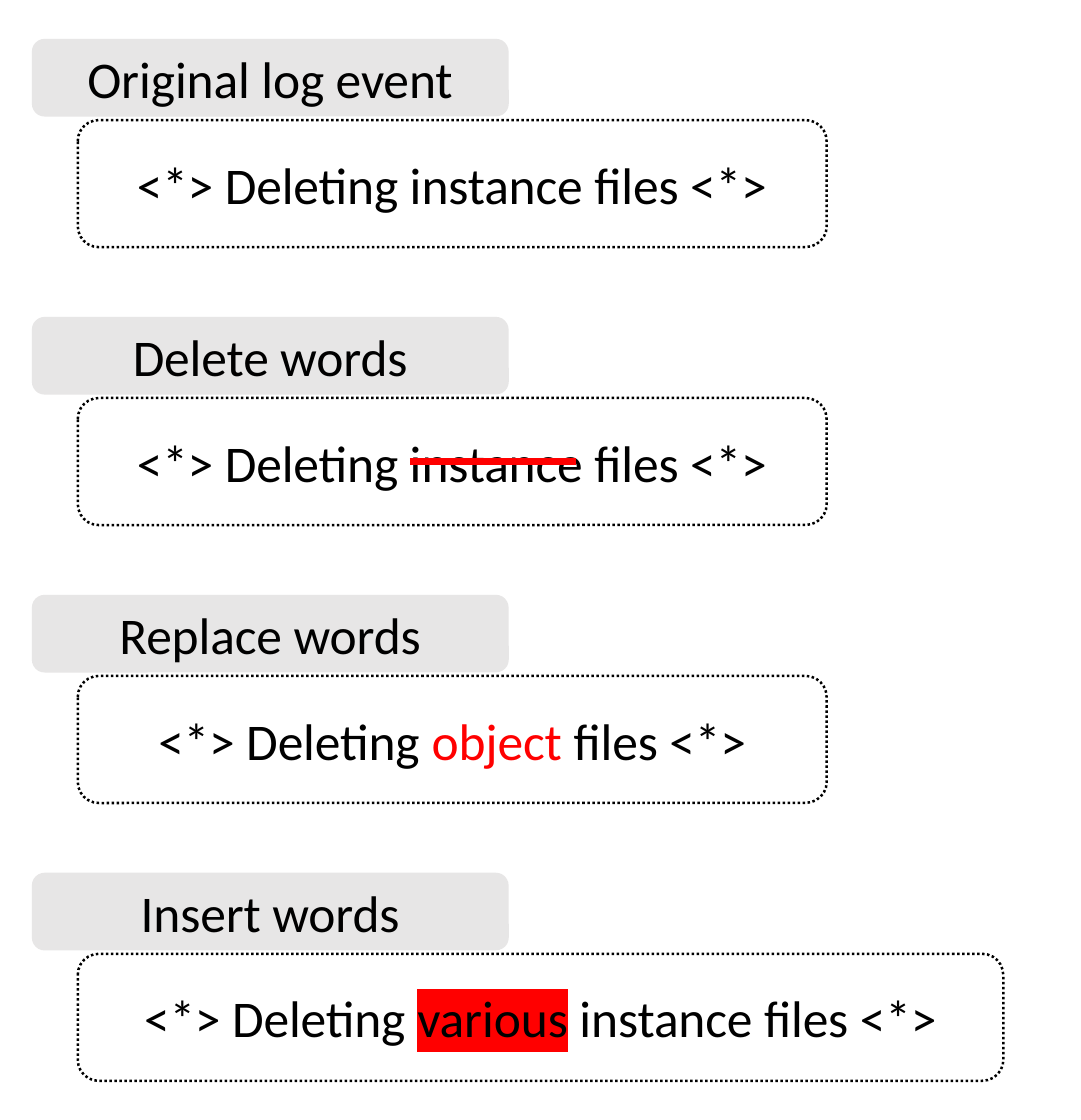
from lxml import etree
from pptx import Presentation
from pptx.dml.color import RGBColor
from pptx.enum.dml import MSO_LINE
from pptx.enum.shapes import MSO_CONNECTOR, MSO_SHAPE
from pptx.enum.text import MSO_ANCHOR, PP_ALIGN
from pptx.oxml.ns import qn
from pptx.util import Inches, Pt

ROUNDED = MSO_SHAPE.ROUNDED_RECTANGLE
STRAIGHT = MSO_CONNECTOR.STRAIGHT
DOTTED = MSO_LINE.ROUND_DOT
MIDDLE = MSO_ANCHOR.MIDDLE
CENTER = PP_ALIGN.CENTER

BLACK = RGBColor(0x00, 0x00, 0x00)
RED = RGBColor(0xFF, 0x00, 0x00)
GREY = RGBColor(0xE7, 0xE6, 0xE6)

# Layout in inches
LEFT, TOP, LAST_TOP = 0.09, 0.11, 2.47
TAB_W, TAB_H = 1.35, 0.22
INDENT, DROP, BOX_H = 0.13, 0.23, 0.36
NARROW, WIDE = 2.12, 2.62
STRIKE_START, STRIKE_END = 1.16, 1.63

# Heading, box width, runs of (text, style)
EVENTS = [
    ("Original log event", NARROW, [("<*> Deleting instance files <*>", "")]),
    ("Delete words", NARROW, [("<*> Deleting instance files <*>", "")]),
    ("Replace words", NARROW,
     [("<*> Deleting ", ""), ("object", "red"), (" files <*>", "")]),
    ("Insert words", WIDE,
     [("<*> Deleting ", ""), ("various", "highlight"),
      (" instance files <*>", "")]),
]


def highlight(r, color):
    mark = etree.Element(qn("a:highlight"))
    etree.SubElement(mark, qn("a:srgbClr"), val=str(color))
    r.font.fill._xPr.find(qn("a:solidFill")).addnext(mark)


def add_label(s, x, y, w, h, runs):
    """Add a rounded rectangle with centred text."""
    sp = s.shapes.add_shape(ROUNDED, Inches(x), Inches(y), Inches(w), Inches(h))
    sp.shadow.inherit = False
    tf = sp.text_frame
    tf.word_wrap = True
    tf.vertical_anchor = MIDDLE
    tf.margin_left = tf.margin_right = tf.margin_top = tf.margin_bottom = 0
    p = tf.paragraphs[0]
    p.alignment = CENTER
    for text, style in runs:
        r = p.add_run()
        r.text = text
        r.font.name = "Calibri"
        r.font.size = Pt(10.5)
        r.font.color.rgb = RED if style == "red" else BLACK
        if style == "highlight":
            highlight(r, RED)
    return sp


def add_event(s, x, y, heading, width, runs):
    """Add a dotted event box with its grey heading tab."""
    box = add_label(s, x + INDENT, y + DROP, width, BOX_H, runs)
    box.fill.background()
    box.line.color.rgb = BLACK
    box.line.width = Pt(0.5)
    box.line.dash_style = DOTTED

    tab = add_label(s, x, y, TAB_W, TAB_H, [(heading, "")])
    tab.fill.solid()
    tab.fill.fore_color.rgb = GREY
    tab.line.fill.background()


def add_strike(s, y):
    """Strike out the deleted word."""
    line = s.shapes.add_connector(
        STRAIGHT, Inches(STRIKE_START), Inches(y), Inches(STRIKE_END), Inches(y))
    line.line.color.rgb = RED
    line.line.width = Pt(1.5)
    etree.SubElement(line._element.spPr, qn("a:effectLst"))


def main():
    prs = Presentation()
    prs.slide_width, prs.slide_height = Inches(3.06), Inches(3.17)
    s = prs.slides.add_slide(prs.slide_layouts[6])

    # Four events at equal spacing
    pitch = (LAST_TOP - TOP) / (len(EVENTS) - 1)
    for i, event in enumerate(EVENTS):
        add_event(s, LEFT, TOP + i * pitch, *event)

    # Deleted word in the second event
    add_strike(s, TOP + pitch + DROP + BOX_H / 2)

    prs.save("out.pptx")


if __name__ == "__main__":
    main()
